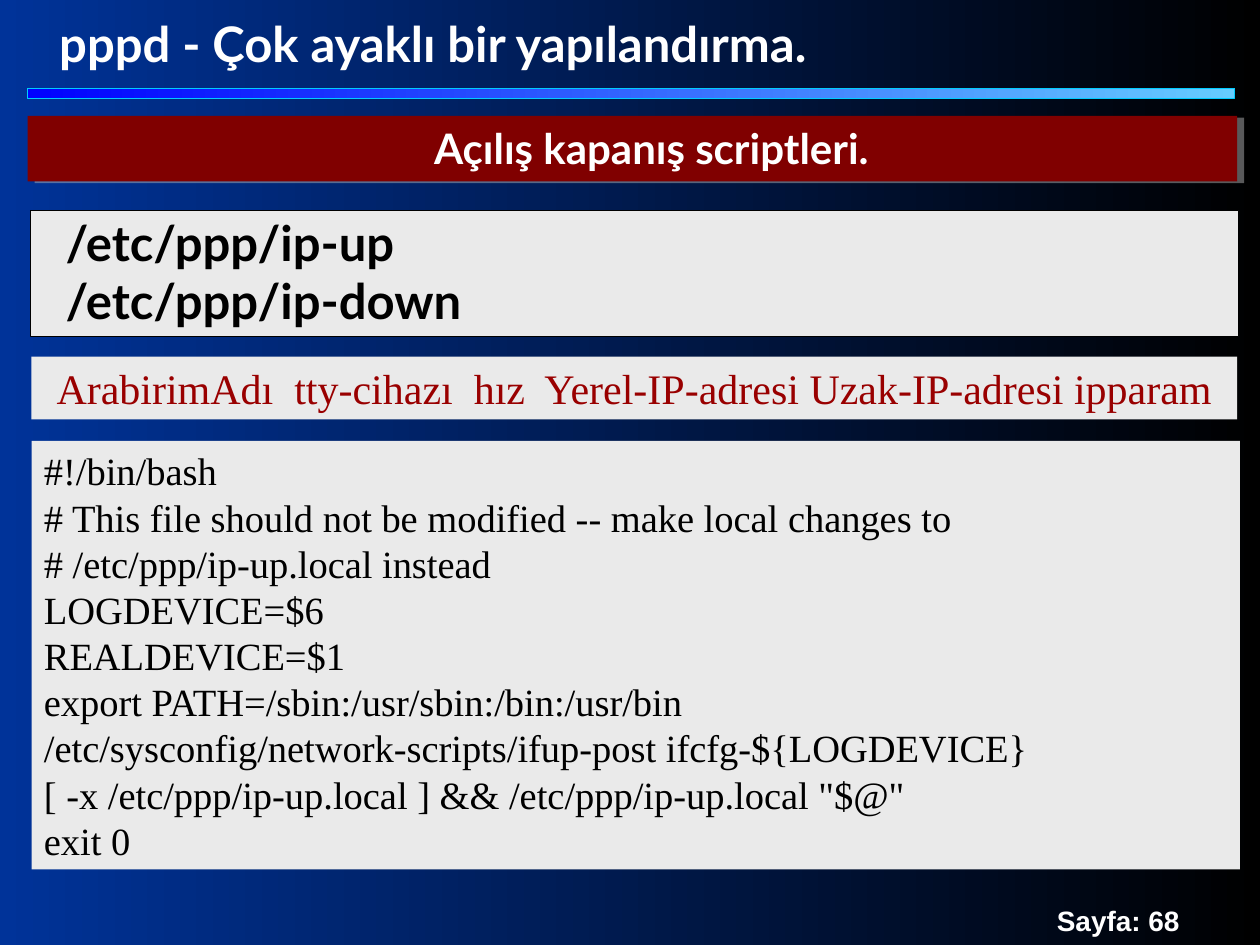
from lxml.etree import SubElement
from pptx import Presentation
from pptx.dml.color import RGBColor
from pptx.enum.shapes import MSO_SHAPE
from pptx.enum.text import MSO_ANCHOR, MSO_AUTO_SIZE, PP_ALIGN
from pptx.oxml.ns import qn
from pptx.util import Inches, Pt

WHITE = RGBColor(255, 255, 255)
BLACK = RGBColor(0, 0, 0)
NAVY = RGBColor(0, 0x33, 0x99)
BLUE = RGBColor(0, 0, 255)
SKY = RGBColor(0x66, 0xCC, 0xFF)
CYAN = RGBColor(0, 0xCC, 0xFF)
MAROON = RGBColor(0x80, 0, 0)
RED = RGBColor(0x99, 0, 0)
PALE = RGBColor(0xEA, 0xEA, 0xEA)
GREY = RGBColor(0xB2, 0xB2, 0xB2)

HEAD = {"name": "Lato", "size": Pt(28), "bold": True}
BAND = {"name": "Lato", "size": Pt(24), "bold": True}
FOOT = {"name": "Arial", "size": Pt(16), "bold": True}
USAGE = {"name": "Times New Roman", "size": Pt(24), "bold": False}
CODE = {"name": "Times New Roman", "size": Pt(22), "bold": False}

FILES = ["/etc/ppp/ip-up", "/etc/ppp/ip-down"]
SCRIPT = [
    "#!/bin/bash",
    "# This file should not be modified -- make local changes to",
    "# /etc/ppp/ip-up.local instead",
    "LOGDEVICE=$6",
    "REALDEVICE=$1",
    "export PATH=/sbin:/usr/sbin:/bin:/usr/bin",
    "/etc/sysconfig/network-scripts/ifup-post ifcfg-${LOGDEVICE}",
    "[ -x /etc/ppp/ip-up.local ] && /etc/ppp/ip-up.local \"$@\"",
    "exit 0",
]


def blend(fill, left, right):
    fill.gradient()
    fill.gradient_angle = 0
    for stop, color in zip(fill.gradient_stops, (left, right)):
        stop.color.rgb = color


def place(shape, spot):
    for name, size in zip(("left", "top", "width", "height"), spot):
        setattr(shape, name, Inches(size))


def write(shape, lines, style, color, align=PP_ALIGN.LEFT,
          anchor=MSO_ANCHOR.TOP, wrap=True, pitch=None):
    frame = shape.text_frame
    form = {"word_wrap": wrap, "auto_size": MSO_AUTO_SIZE.NONE,
            "vertical_anchor": anchor}
    for name, value in form.items():
        setattr(frame, name, value)
    frame.text = "\n".join(lines)
    for para in frame.paragraphs:
        para.alignment = align
        para.space_before = Pt(0)
        if pitch:
            para.line_spacing = Pt(pitch)
        for name, value in style.items():
            setattr(para.font, name, value)
        para.font.color.rgb = color


def panel(slide, spot, fill=None, line=None):
    box = slide.shapes.add_shape(MSO_SHAPE.RECTANGLE, *map(Inches, spot))
    box.shadow.inherit = False
    if fill is not None:
        box.fill.solid()
        box.fill.fore_color.rgb = fill
    if line is None:
        box.line.fill.background()
    else:
        box.line.color.rgb = line
        box.line.width = Pt(0.75)
    return box


def label(slide, spot, text, style, color, **form):
    box = slide.shapes.add_textbox(*map(Inches, spot))
    write(box, [text], style, color, **form)


def shade(shape, color):
    list_el = shape.element.spPr.find(qn("a:effectLst"))
    cast = SubElement(list_el, qn("a:outerShdw"), dist=str(Pt(4.1)),
                      dir=str(14 * 60000), algn="ctr", rotWithShape="0")
    tint = SubElement(cast, qn("a:srgbClr"), val=str(color))
    SubElement(tint, qn("a:alpha"), val="50000")


def plain(shape):
    for para in shape.text_frame.paragraphs:
        props = para._p.get_or_add_pPr()
        props.set("marL", "0")
        props.set("indent", "0")
        SubElement(props, qn("a:buNone"))


def main():
    deck = Presentation()
    deck.slide_width, deck.slide_height = Inches(10), Inches(7.5)
    slide = deck.slides.add_slide(deck.slide_layouts[1])
    blend(slide.background.fill, NAVY, BLACK)

    label(slide, (8.29, 7.12, 2, 0.37), "Sayfa: 68", FOOT, WHITE, wrap=False)
    bar = panel(slide, (0.22, 0.7, 9.58, 0.08), line=CYAN)
    blend(bar.fill, BLUE, SKY)

    title = slide.shapes.title
    place(title, (0.37, 0.06, 6.94, 0.57))
    write(title, ["pppd - Çok ayaklı bir yapılandırma."], HEAD, WHITE,
          wrap=False)

    shade(panel(slide, (0.22, 0.92, 9.6, 0.52), MAROON), GREY)
    label(slide, (1.42, 0.92, 7.5, 0.5), "Açılış kapanış scriptleri.",
          BAND, WHITE, align=PP_ALIGN.CENTER)

    back = panel(slide, (0.24, 1.67, 9.59, 1), PALE, BLACK)
    body = slide.placeholders[1]
    place(body, (0.42, 1.63, 7.92, 1.04))
    write(body, FILES, HEAD, BLACK, anchor=MSO_ANCHOR.MIDDLE)
    plain(body)
    back.element.addnext(body.element)

    code = panel(slide, (0.25, 3.5, 9.59, 3.4), PALE)
    write(code, SCRIPT, CODE, BLACK, anchor=MSO_ANCHOR.MIDDLE, pitch=26.4)
    usage = panel(slide, (0.25, 2.83, 9.57, 0.5), PALE)
    write(usage, ["ArabirimAdı  tty-cihazı  hız  Yerel-IP-adresi "
                  "Uzak-IP-adresi ipparam"], USAGE, RED,
          align=PP_ALIGN.CENTER, anchor=MSO_ANCHOR.MIDDLE, pitch=28.8)

    deck.save("out.pptx")


if __name__ == "__main__":
    main()
